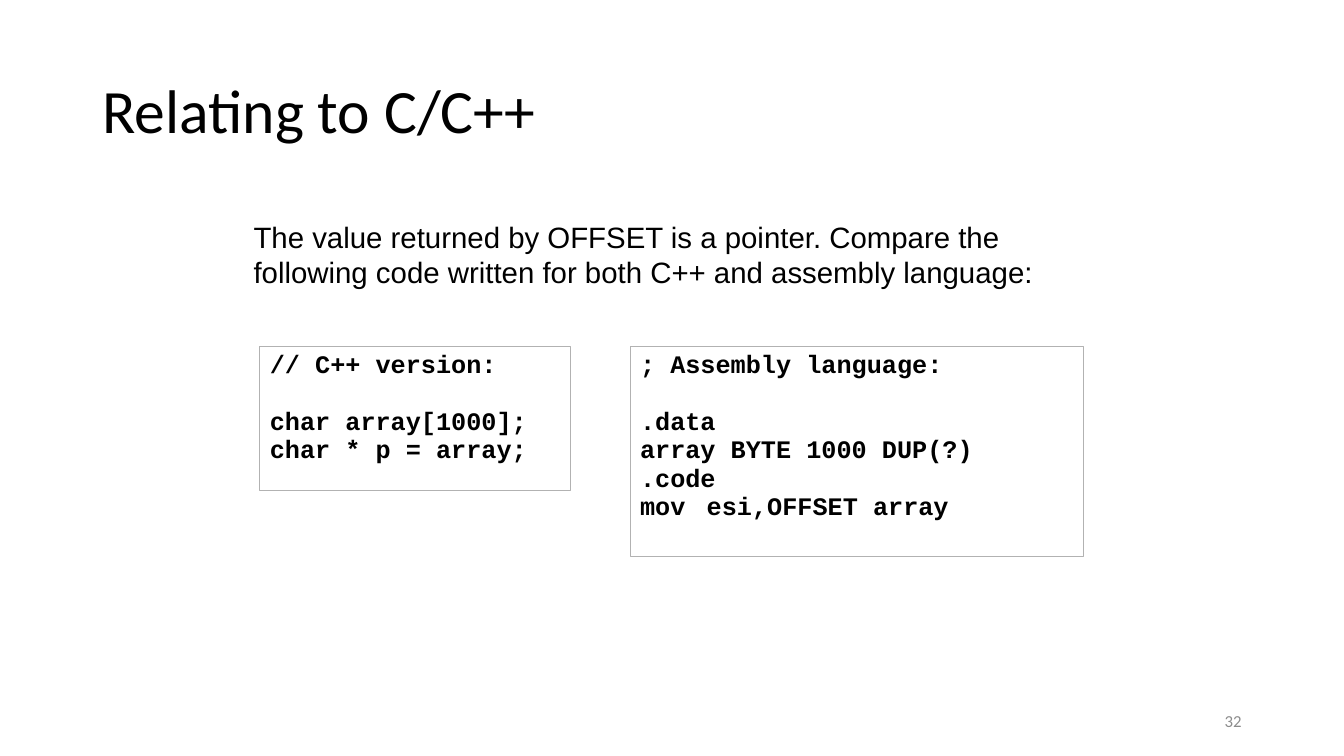
from dataclasses import dataclass

from lxml import etree
from pptx import Presentation, util as u
from pptx.dml.color import RGBColor
from pptx.enum import shapes, text
from pptx.oxml.ns import qn

LINE_GAP = 9.6
BLANK_LINE_GAP = 29.4
CODE_TOP = 8.74
CODE_TAB = 1.3


@dataclass
class CodeBox:
    left: float
    width: float
    height: float
    heading: str
    lines: list[str]


CODE_BOXES = [
    CodeBox(6.55, 7.82, 3.61, "// C++ version:",
            ["char array[1000];", "char * p = array;"]),
    CodeBox(15.88, 11.43, 5.28, "; Assembly language:",
            [".data", "array BYTE 1000 DUP(?)", ".code", "mov\t esi,OFFSET array"]),
]


def color(value: str) -> RGBColor:
    return RGBColor.from_string(value)


def write(sp, lines: list[str], *, size: float, font: str, ink: str = "000000",
          bold: bool = False, align=text.PP_ALIGN.LEFT, anchor=text.MSO_ANCHOR.TOP,
          spacing: float = 1.0, gaps: list[float] | None = None,
          top: float = 0.13, bottom: float = 0.13, tab: float | None = None) -> None:
    """Fill a shape with one paragraph per line; gaps are points before each."""
    tf = sp.text_frame
    tf.word_wrap = True
    tf.vertical_anchor = anchor
    tf.margin_left = tf.margin_right = u.Cm(0.25)
    tf.margin_top, tf.margin_bottom = u.Cm(top), u.Cm(bottom)
    for i, line in enumerate(lines):
        p = tf.paragraphs[0] if i == 0 else tf.add_paragraph()
        p.alignment = align
        p.line_spacing = spacing
        p.space_before = u.Pt(gaps[i] if gaps else 0)
        if tab and "\t" in line:
            tabs = etree.SubElement(p._p.get_or_add_pPr(), qn("a:tabLst"))
            etree.SubElement(tabs, qn("a:tab"), pos=str(u.Cm(tab)), algn="l")
        r = p.add_run()
        r.text = line
        r.font.size, r.font.name, r.font.bold = u.Pt(size), font, bold
        r.font.color.rgb = color(ink)


def add_text(s, left: float, top: float, width: float, height: float):
    return s.shapes.add_textbox(u.Cm(left), u.Cm(top), u.Cm(width), u.Cm(height))


def add_code(s, box: CodeBox) -> None:
    sp = s.shapes.add_shape(shapes.MSO_SHAPE.RECTANGLE, u.Cm(box.left), u.Cm(CODE_TOP),
                            u.Cm(box.width), u.Cm(box.height))
    sp.shadow.inherit = False
    sp.fill.background()
    sp.line.color.rgb = color("B2B2B2")
    sp.line.width = u.Pt(0.75)
    gaps = [0, BLANK_LINE_GAP] + [LINE_GAP] * (len(box.lines) - 1)
    write(sp, [box.heading, *box.lines], size=18, font="Courier New", bold=True,
          spacing=0.5, gaps=gaps, top=0.38, bottom=0.64, tab=CODE_TAB)


def main() -> None:
    prs = Presentation()
    prs.slide_width, prs.slide_height = u.Cm(33.87), u.Cm(19.05)
    s = prs.slides.add_slide(prs.slide_layouts[6])

    write(add_text(s, 2.33, 1.01, 29.21, 3.68), ["Relating to C/C++"],
          size=44, font="Calibri", anchor=text.MSO_ANCHOR.MIDDLE, spacing=0.9)
    write(add_text(s, 6.14, 5.13, 21.4, 2.54),
          ["The value returned by OFFSET is a pointer. Compare the following code "
           "written for both C++ and assembly language:"],
          size=21, font="Arial", top=0.38, bottom=0.38)
    for box in CODE_BOXES:
        add_code(s, box)
    write(add_text(s, 23.92, 17.66, 7.62, 1.01), ["32"], size=12, font="Calibri",
          ink="8C8C8C", align=text.PP_ALIGN.RIGHT, anchor=text.MSO_ANCHOR.MIDDLE)
    prs.save("out.pptx")


if __name__ == "__main__":
    main()
